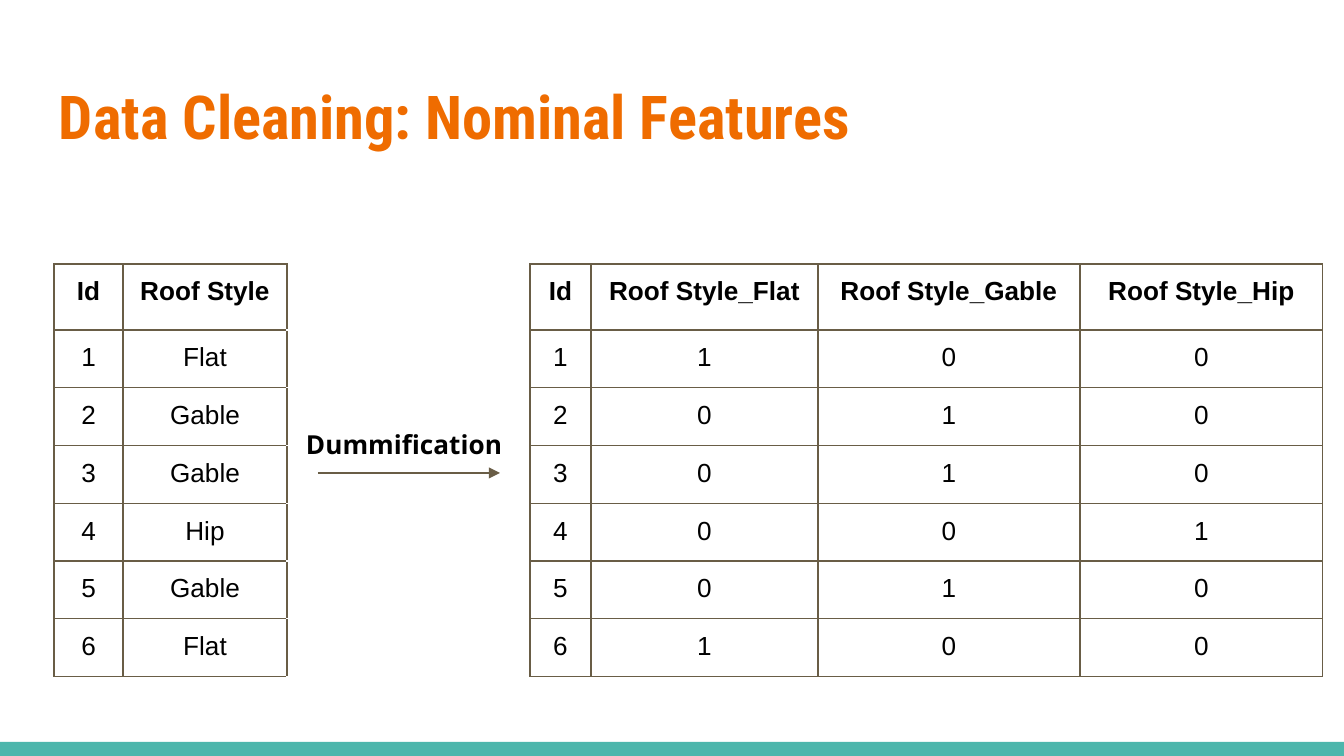
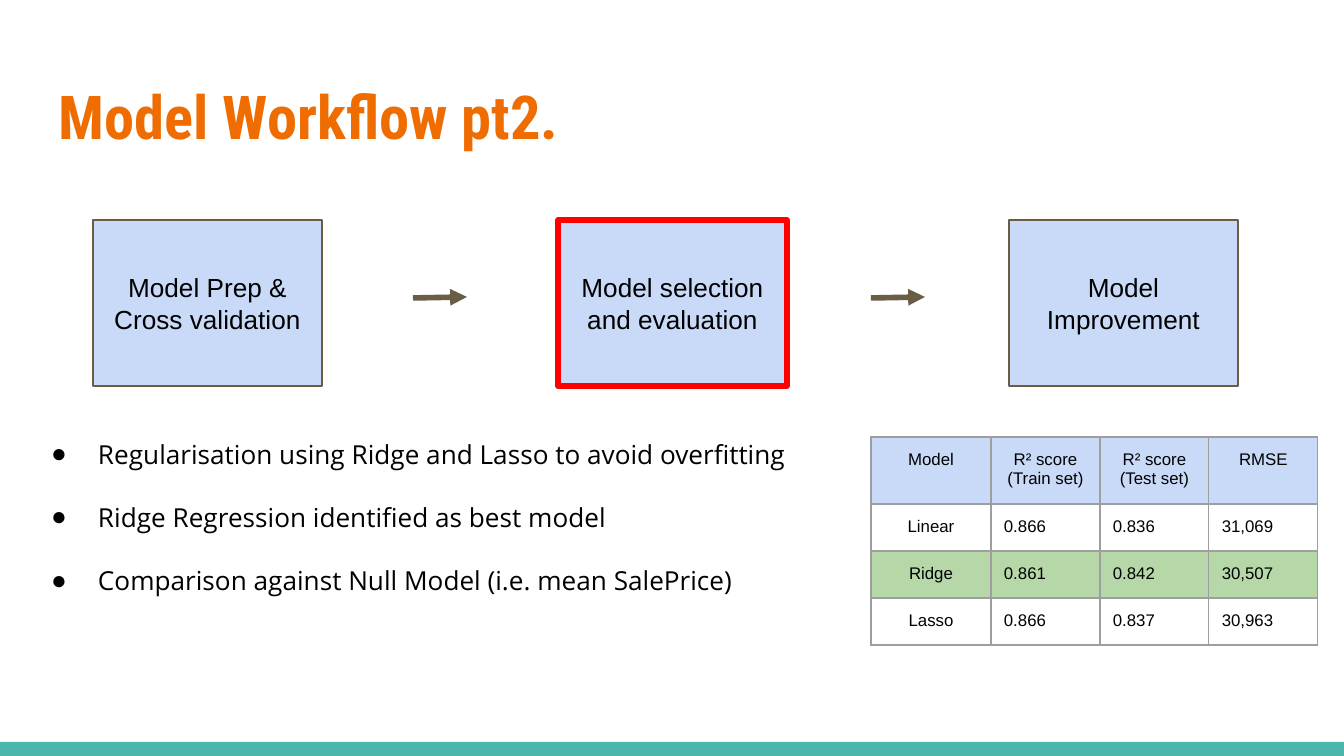
"""Build two slides on data cleaning and model workflow."""
from dataclasses import dataclass
from typing import NamedTuple, Optional

from lxml.etree import SubElement
from pptx import Presentation
from pptx.dml.color import RGBColor
from pptx.enum.shapes import MSO_CONNECTOR, MSO_SHAPE
from pptx.enum.text import MSO_ANCHOR, MSO_AUTO_SIZE, PP_ALIGN
from pptx.oxml.ns import qn
from pptx.shapes.autoshape import Shape
from pptx.slide import Slide
from pptx.table import _Cell
from pptx.text.text import TextFrame, _Paragraph
from pptx.util import Emu, Pt

EMU_PER_PX = 914400 / 134.4


def px(length: int) -> Emu:
    """Turn whole pixels into EMU."""
    return Emu(round(length * EMU_PER_PX))


class TextStyle(NamedTuple):
    """Font, size in points, colour and weight of a run."""
    font: str
    size: float
    color: str
    bold: bool = False


@dataclass(frozen=True)
class Theme:
    """Colours and type styles shared by the slides."""
    band: str = "4DB6AC"
    brown: str = "695D46"
    white: str = "FFFFFF"
    grid: str = "9E9E9E"
    pale_blue: str = "C9DAF8"
    green: str = "B6D7A8"
    red: str = "FF0000"
    black: str = "000000"
    hairline: float = 0.75
    bullet_gap: float = 17
    title: TextStyle = TextStyle("Roboto Condensed", 32.4, "EF6C00", True)
    bullet: TextStyle = TextStyle("Open Sans", 14, "000000")
    caption: TextStyle = TextStyle("Open Sans", 14, "000000", True)
    plain: TextStyle = TextStyle("Arial", 14, "000000")
    heading: TextStyle = TextStyle("Arial", 14, "000000", True)
    small: TextStyle = TextStyle("Arial", 9, "000000")


THEME = Theme()


class Box(NamedTuple):
    """Left, top, width and height in pixels."""
    left: int
    top: int
    width: int
    height: int

    def emu(self) -> tuple[Emu, ...]:
        """Give the four lengths in EMU."""
        return tuple(px(length) for length in self)


class Step(NamedTuple):
    """One stage of the workflow."""
    left: int
    label: str
    outline: str = THEME.brown
    weight: float = THEME.hairline


class Arrow(NamedTuple):
    """A line with an arrowhead at its end."""
    start: tuple[int, int]
    end: tuple[int, int]
    weight: float


class CellLook(NamedTuple):
    """Text style, alignment, fill and border colours of a table cell."""
    style: TextStyle
    align: PP_ALIGN
    side_border: str
    edge_border: str
    fill: Optional[str] = None


SLIDE_SIZE = (1344, 756)
BAND = Box(0, 742, 1344, 14)
TITLE = Box(46, 66, 1252, 103)
INSET = 13
STEP_TOP, STEP_WIDTH, STEP_HEIGHT = 220, 229, 166

ROOFS = ["Flat", "Gable", "Gable", "Hip", "Gable", "Flat"]
STYLES = ["Flat", "Gable", "Hip"]
GAP_COLUMN = 2

STEPS = [
    Step(93, "Model Prep & Cross validation"),
    Step(558, "Model selection and evaluation", THEME.red, 3),
    Step(1009, "Model Improvement"),
]
FINDINGS = [
    "Regularisation using Ridge and Lasso to avoid overfitting",
    "Ridge Regression identified as best model",
    "Comparison against Null Model (i.e. mean SalePrice)",
]
SCORES = [
    ["Model", "R² score\n(Train set)", "R² score\n(Test set)", "RMSE"],
    ["Linear", "0.866", "0.836", "31,069"],
    ["Ridge", "0.861", "0.842", "30,507"],
    ["Lasso", "0.866", "0.837", "30,963"],
]
BEST_MODEL = "Ridge"


def rgb(color: str) -> RGBColor:
    """Read a hex colour."""
    return RGBColor.from_string(color)


def write(paragraph: _Paragraph, text: str, style: TextStyle,
          align: PP_ALIGN = PP_ALIGN.LEFT) -> None:
    """Add styled runs, one for each line of the text."""
    paragraph.alignment = align
    for number, line in enumerate(text.split("\n")):
        if number:
            paragraph.add_line_break()
        run = paragraph.add_run()
        run.text = line
        run.font.name = style.font
        run.font.size = Pt(style.size)
        run.font.bold = style.bold
        run.font.color.rgb = rgb(style.color)


def set_frame(frame: TextFrame, anchor: MSO_ANCHOR = MSO_ANCHOR.TOP) -> None:
    """Give a text frame the shared insets, wrapping and anchor."""
    frame.word_wrap = True
    frame.auto_size = MSO_AUTO_SIZE.NONE
    frame.vertical_anchor = anchor
    frame.margin_left = frame.margin_right = px(INSET)
    frame.margin_top = frame.margin_bottom = px(INSET)


def place(shape: Shape, box: Box) -> None:
    """Move and size a placeholder."""
    shape.left, shape.top, shape.width, shape.height = box.emu()


def add_rectangle(slide: Slide, box: Box, fill: str) -> Shape:
    """Draw a flat filled rectangle without outline."""
    rectangle = slide.shapes.add_shape(MSO_SHAPE.RECTANGLE, *box.emu())
    rectangle.shadow.inherit = False
    rectangle.fill.solid()
    rectangle.fill.fore_color.rgb = rgb(fill)
    rectangle.line.fill.background()
    return rectangle


def add_title(slide: Slide, text: str) -> None:
    """Fill the title placeholder in the deck's title style."""
    title = slide.shapes.title
    place(title, TITLE)
    set_frame(title.text_frame)
    paragraph = title.text_frame.paragraphs[0]
    paragraph.line_spacing = 1.0
    write(paragraph, text, THEME.title)


def add_step(slide: Slide, step: Step) -> None:
    """Draw one workflow stage."""
    stage = add_rectangle(slide, Box(step.left, STEP_TOP, STEP_WIDTH, STEP_HEIGHT),
                          THEME.pale_blue)
    stage.line.color.rgb = rgb(step.outline)
    stage.line.width = Pt(step.weight)
    set_frame(stage.text_frame, MSO_ANCHOR.MIDDLE)
    write(stage.text_frame.paragraphs[0], step.label, THEME.plain, PP_ALIGN.CENTER)


def add_arrow(slide: Slide, arrow: Arrow) -> None:
    """Draw a brown arrow."""
    ends = [px(length) for length in arrow.start + arrow.end]
    connector = slide.shapes.add_connector(MSO_CONNECTOR.STRAIGHT, *ends)
    connector.line.color.rgb = rgb(THEME.brown)
    connector.line.width = Pt(arrow.weight)
    properties = connector.element.spPr
    SubElement(properties.find(qn("a:ln")), qn("a:tailEnd"), type="triangle")
    SubElement(properties, qn("a:effectLst"))


def fill_cell(cell: _Cell, text: str, look: CellLook) -> None:
    """Write, border and fill one table cell."""
    properties = cell._tc.get_or_add_tcPr()
    borders = {"lnL": look.side_border, "lnR": look.side_border,
               "lnT": look.edge_border, "lnB": look.edge_border}
    for side, color in borders.items():
        border = SubElement(properties, qn(f"a:{side}"), w=str(Pt(THEME.hairline)))
        SubElement(SubElement(border, qn("a:solidFill")), qn("a:srgbClr"), val=color)
    if look.fill:
        cell.fill.solid()
        cell.fill.fore_color.rgb = rgb(look.fill)
    else:
        cell.fill.background()
    cell.margin_left = cell.margin_right = px(INSET)
    cell.margin_top = cell.margin_bottom = px(INSET)
    paragraph = cell.text_frame.paragraphs[0]
    if text:
        write(paragraph, text, look.style, look.align)
    else:
        SubElement(paragraph._p, qn("a:endParaRPr"), sz=str(look.style.size * 100))


def add_grid(slide: Slide, left: int, top: int, widths: list[int], heights: list[int],
             texts: list[list[str]], looks: list[list[CellLook]]) -> None:
    """Draw a table from its texts and cell looks."""
    box = Box(left, top, sum(widths), sum(heights))
    table = slide.shapes.add_table(len(heights), len(widths), *box.emu()).table
    table.first_row = table.horz_banding = False
    for column, width in zip(table.columns, widths):
        column.width = px(width)
    for row, height, row_texts, row_looks in zip(table.rows, heights, texts, looks):
        row.height = px(height)
        for cell, text, look in zip(row.cells, row_texts, row_looks):
            fill_cell(cell, text, look)


def add_findings(slide: Slide) -> None:
    """List the findings in the body placeholder."""
    body = slide.placeholders[1]
    place(body, Box(18, 425, 1077, 249))
    frame = body.text_frame
    set_frame(frame)
    for number, finding in enumerate(FINDINGS):
        paragraph = frame.add_paragraph() if number else frame.paragraphs[0]
        properties = paragraph._p.get_or_add_pPr()
        properties.set("marL", str(px(67)))
        properties.set("indent", str(px(-47)))
        SubElement(SubElement(properties, qn("a:buClr")), qn("a:srgbClr"), val=THEME.black)
        SubElement(properties, qn("a:buFont"), typeface=THEME.plain.font)
        SubElement(properties, qn("a:buChar"), char="●")
        paragraph.line_spacing = 1.0
        paragraph.space_before = Pt(THEME.bullet_gap if number else 0)
        write(paragraph, finding, THEME.bullet)


def build_nominal_features(slide: Slide) -> None:
    """Show roof styles turned into dummy columns."""
    add_title(slide, "Data Cleaning: Nominal Features")
    texts = [["Id", "Roof Style", "", "Id", *(f"Roof Style_{style}" for style in STYLES)]]
    for number, roof in enumerate(ROOFS, 1):
        dummies = [str(int(roof == style)) for style in STYLES]
        texts.append([str(number), roof, "", str(number), *dummies])
    looks = [[CellLook(THEME.plain if row else THEME.heading, PP_ALIGN.CENTER, THEME.brown,
                       THEME.white if column == GAP_COLUMN else THEME.brown)
              for column in range(len(texts[0]))] for row in range(len(texts))]
    add_grid(slide, 54, 264, [69, 164, 243, 61, 227, 262, 243], [66] + [56] * len(ROOFS),
             texts, looks)
    add_arrow(slide, Arrow((318, 473), (500, 473), 1.5))
    caption = slide.shapes.add_textbox(*Box(293, 415, 245, 59).emu())
    set_frame(caption.text_frame)
    write(caption.text_frame.paragraphs[0], "Dummification", THEME.caption)


def build_model_workflow(slide: Slide) -> None:
    """Show the workflow stages, findings and model scores."""
    add_title(slide, "Model Workflow pt2.")
    for step in STEPS:
        add_step(slide, step)
    for left in (413, 871):
        add_arrow(slide, Arrow((left, 298), (left + 54, 297), 3))
    add_findings(slide)
    looks = []
    for number, scores in enumerate(SCORES):
        fill = THEME.green if scores[0] == BEST_MODEL else None
        looks.append([CellLook(
            THEME.small, PP_ALIGN.LEFT if number and column else PP_ALIGN.CENTER,
            THEME.grid, THEME.grid, fill if number else THEME.pale_blue)
            for column in range(len(scores))])
    add_grid(slide, 871, 437, [120, 109, 109, 109], [67, 47, 47, 47], SCORES, looks)


def main() -> None:
    """Build and save the deck."""
    deck = Presentation()
    deck.slide_width, deck.slide_height = map(px, SLIDE_SIZE)
    features = deck.slides.add_slide(deck.slide_layouts[5])
    band = add_rectangle(features, BAND, THEME.band).element
    band.nvSpPr.cNvPr.set("id", "20")
    deck.slide_master.shapes.element.append(band)
    build_nominal_features(features)
    build_model_workflow(deck.slides.add_slide(deck.slide_layouts[1]))
    deck.save("out.pptx")


if __name__ == "__main__":
    main()
